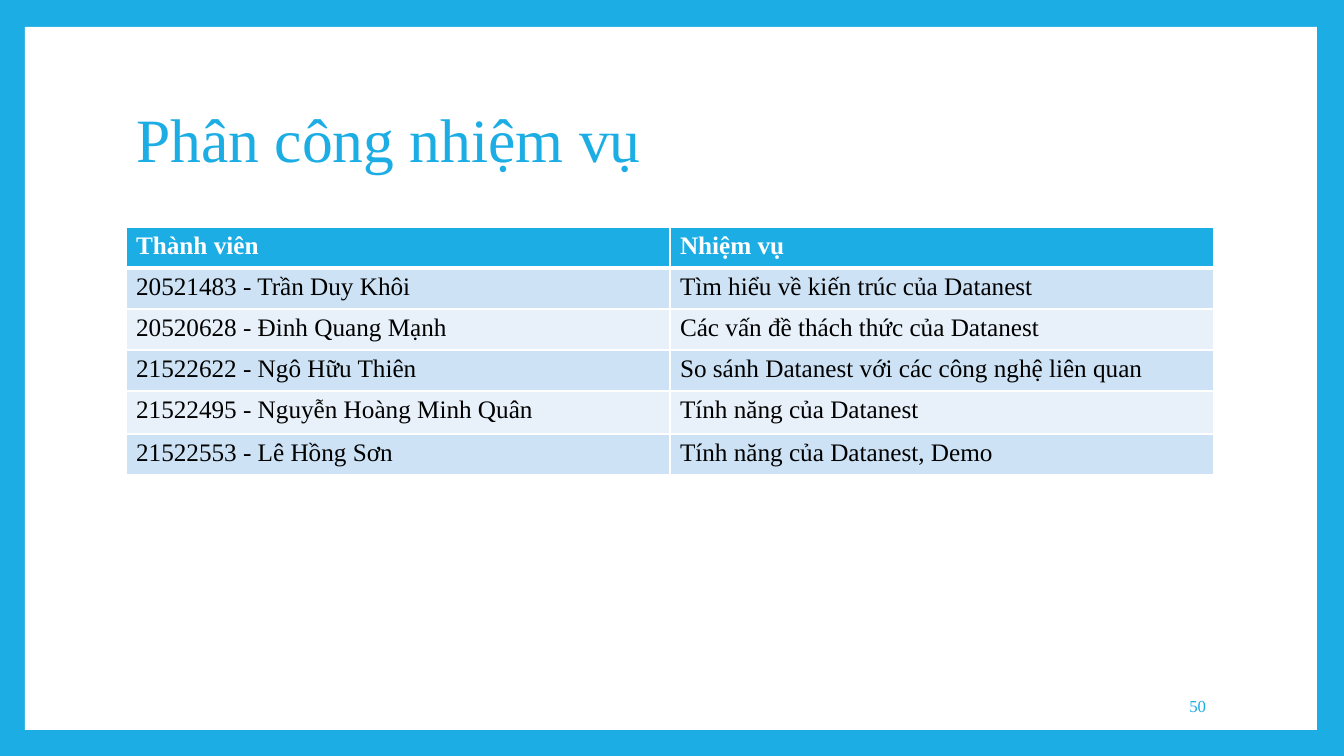
import pptx
import pptx.dml.color
import pptx.enum.shapes
import pptx.enum.text
import pptx.oxml
import pptx.oxml.ns
import pptx.util

EMU_PER_PX = 914400 / 100.8
FONT = "Times New Roman"
COLORS = {
    "accent": "1CADE4",
    "white": "FFFFFF",
    "text": "000000",
    "odd row": "CDE3F5",
    "even row": "E8F1FA",
}
ASSIGNMENTS = [
    ("Thành viên", "Nhiệm vụ"),
    ("20521483 - Trần Duy Khôi", "Tìm hiểu về kiến trúc của Datanest"),
    ("20520628 - Đinh Quang Mạnh", "Các vấn đề thách thức của Datanest"),
    ("21522622 - Ngô Hữu Thiên", "So sánh Datanest với các công nghệ liên quan"),
    ("21522495 - Nguyễn Hoàng Minh Quân", "Tính năng của Datanest"),
    ("21522553 - Lê Hồng Sơn", "Tính năng của Datanest, Demo"),
]
ROW_HEIGHTS = [41, 41, 41, 41, 43, 41]


def px(length):
    return pptx.util.Emu(round(length * EMU_PER_PX))


def color(name):
    return pptx.dml.color.RGBColor.from_string(COLORS[name])


def fill_solid(fill, name):
    fill.solid()
    fill.fore_color.rgb = color(name)


def style_text(paragraph, size, name, bold=False):
    paragraph.font.name = FONT
    paragraph.font.size = pptx.util.Pt(size)
    paragraph.font.bold = bold
    paragraph.font.color.rgb = color(name)


def set_borders(cell, widths):
    """Draw white cell borders; widths maps sides L, R, T, B to points."""
    properties = cell._tc.get_or_add_tcPr()
    for position, side in enumerate("LRTB"):
        line = pptx.oxml.parse_xml(
            f'<a:ln{side} {pptx.oxml.ns.nsdecls("a")} w="{pptx.util.Pt(widths[side])}">'
            f'<a:solidFill><a:srgbClr val="{COLORS["white"]}"/></a:solidFill></a:ln{side}>'
        )
        properties.insert(position, line)


def add_frame(slide, left, top, width, height):
    """White panel on the accent background."""
    fill_solid(slide.background.fill, "accent")
    panel = slide.shapes.add_shape(
        pptx.enum.shapes.MSO_SHAPE.RECTANGLE, px(left), px(top), px(width), px(height))
    panel.shadow.inherit = False
    fill_solid(panel.fill, "white")
    panel.line.fill.background()
    # Keep the panel behind the title placeholder
    slide.shapes._spTree.insert(2, panel._element)


def place_title(slide, left, top, width, height):
    title = slide.shapes.title
    title.left, title.top, title.width, title.height = map(px, (left, top, width, height))
    title.text_frame.text = "Phân công nhiệm vụ"
    title.text_frame.vertical_anchor = pptx.enum.text.MSO_ANCHOR.MIDDLE
    paragraph = title.text_frame.paragraphs[0]
    paragraph.alignment = pptx.enum.text.PP_ALIGN.LEFT
    paragraph.line_spacing = 0.9
    style_text(paragraph, 44, "accent")


def add_assignment_table(slide, left, top, width):
    column_count = len(ASSIGNMENTS[0])
    table = slide.shapes.add_table(
        len(ASSIGNMENTS), column_count,
        px(left), px(top), px(width), px(sum(ROW_HEIGHTS))).table
    for column in table.columns:
        column.width = px(width / column_count)
    for row_index, (texts, height) in enumerate(zip(ASSIGNMENTS, ROW_HEIGHTS)):
        table.rows[row_index].height = px(height)
        header = row_index == 0
        background = "accent" if header else "odd row" if row_index % 2 else "even row"
        widths = {"L": 1, "R": 1, "T": 3 if row_index == 1 else 1, "B": 3 if header else 1}
        for column_index, text in enumerate(texts):
            cell = table.cell(row_index, column_index)
            cell.text = text
            style_text(cell.text_frame.paragraphs[0], 18, "white" if header else "text", header)
            fill_solid(cell.fill, background)
            set_borders(cell, widths)


def add_page_number(slide, left, top, width, height):
    box = slide.shapes.add_textbox(px(left), px(top), px(width), px(height))
    box.text_frame.word_wrap = True
    box.text_frame.vertical_anchor = pptx.enum.text.MSO_ANCHOR.MIDDLE
    paragraph = box.text_frame.paragraphs[0]
    paragraph.text = "50"
    paragraph.alignment = pptx.enum.text.PP_ALIGN.RIGHT
    style_text(paragraph, 12, "accent")


def main():
    presentation = pptx.Presentation()
    presentation.slide_width, presentation.slide_height = px(1344), px(756)
    slide = presentation.slides.add_slide(presentation.slide_layouts.get_by_name("Title Only"))
    add_frame(slide, 25, 27, 1292, 703)
    place_title(slide, 126, 68, 1088, 149)
    add_assignment_table(slide, 126, 227, 1088)
    add_page_number(slide, 1028, 686, 188, 40)
    presentation.save("out.pptx")


if __name__ == "__main__":
    main()
